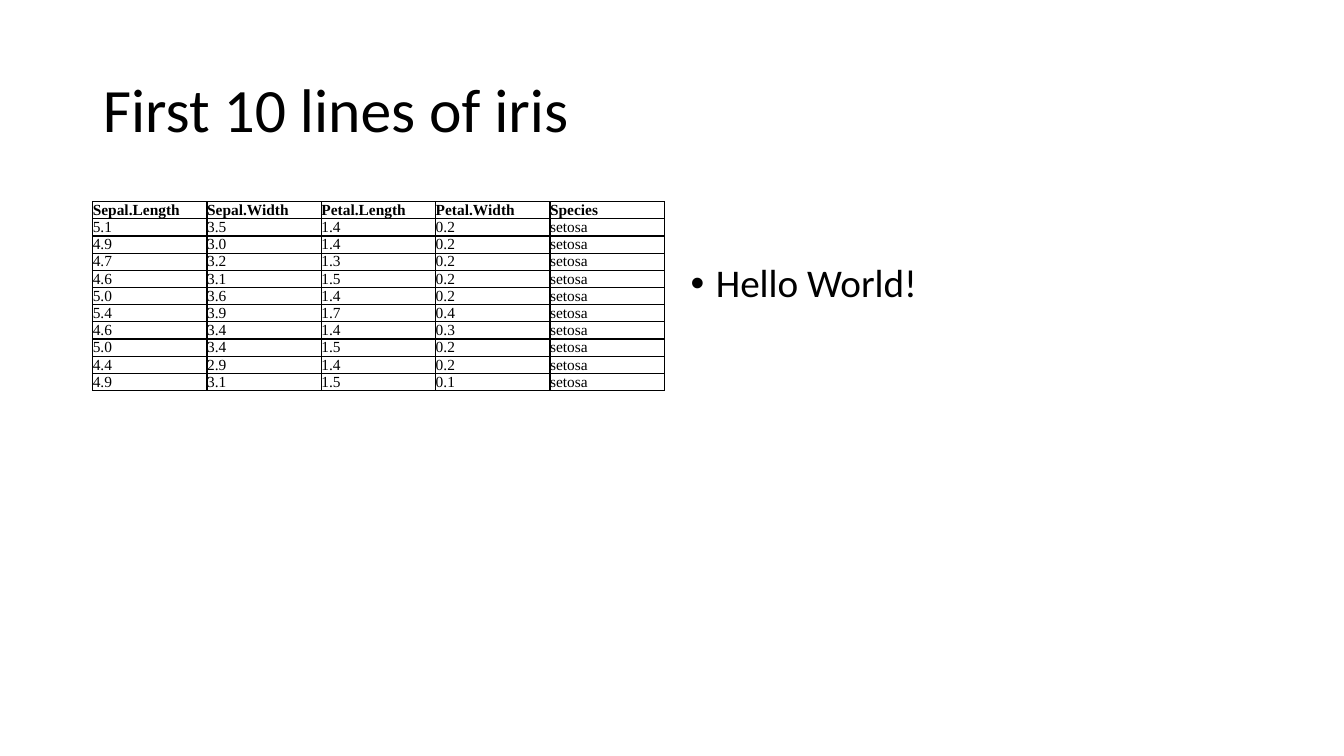
from dataclasses import dataclass
from typing import NamedTuple

from lxml.etree import SubElement
from pptx import Presentation
from pptx.dml.color import RGBColor
from pptx.enum.text import MSO_ANCHOR, PP_ALIGN
from pptx.oxml.ns import qn
from pptx.util import Inches, Pt


@dataclass(frozen=True)
class Theme:
    ink: str = "000000"
    font: str = "Calibri"
    serif: str = "Times New Roman"
    title: int = 44
    body: int = 28
    cell: int = 11
    rule: int = 1


class Box(NamedTuple):
    left: float
    top: float
    width: float
    height: float

    def lengths(self) -> list:
        return [Inches(side) for side in self]


class Flower(NamedTuple):
    sepal_length: str
    sepal_width: str
    petal_length: str
    petal_width: str
    species: str = "setosa"


THEME = Theme()
TITLE = Box(0.92, 0.39, 11.5, 1.45)
TABLE = Box(0.92, 2, 5.67, 1.87)
BODY = Box(6.75, 2, 5.67, 4.76)
HEADER = Flower("Sepal.Length", "Sepal.Width", "Petal.Length", "Petal.Width", "Species")
IRIS = [
    Flower("5.1", "3.5", "1.4", "0.2"),
    Flower("4.9", "3.0", "1.4", "0.2"),
    Flower("4.7", "3.2", "1.3", "0.2"),
    Flower("4.6", "3.1", "1.5", "0.2"),
    Flower("5.0", "3.6", "1.4", "0.2"),
    Flower("5.4", "3.9", "1.7", "0.4"),
    Flower("4.6", "3.4", "1.4", "0.3"),
    Flower("5.0", "3.4", "1.5", "0.2"),
    Flower("4.4", "2.9", "1.4", "0.2"),
    Flower("4.9", "3.1", "1.5", "0.1"),
]


def write(frame, text: str, *, size: int, font: str = THEME.font,
          bold: bool = False, spacing: float = 1.0):
    para = frame.paragraphs[0]
    para.alignment = PP_ALIGN.LEFT
    para.line_spacing = spacing
    para.space_before = Pt(0)
    run = para.add_run()
    run.text = text
    run.font.size = Pt(size)
    run.font.name = font
    run.font.bold = bold
    run.font.color.rgb = RGBColor.from_string(THEME.ink)
    return para


def place(shape, box: Box) -> None:
    shape.left, shape.top, shape.width, shape.height = box.lengths()


def border(cell) -> None:
    props = cell._tc.get_or_add_tcPr()
    for side in ("a:lnL", "a:lnR", "a:lnT", "a:lnB"):
        line = SubElement(props, qn(side), w=str(Pt(THEME.rule)))
        fill = SubElement(line, qn("a:solidFill"))
        SubElement(fill, qn("a:srgbClr"), val=THEME.ink)


def draw_title(slide, text: str) -> None:
    title = slide.shapes.title
    place(title, TITLE)
    title.text_frame.vertical_anchor = MSO_ANCHOR.MIDDLE
    write(title.text_frame, text, size=THEME.title, spacing=0.9)


def draw_cell(cell, text: str, bold: bool) -> None:
    cell.margin_left = cell.margin_right = Inches(0)
    cell.margin_top = cell.margin_bottom = Inches(0)
    cell.vertical_anchor = MSO_ANCHOR.MIDDLE
    border(cell)
    cell.fill.background()
    write(cell.text_frame, text, size=THEME.cell, font=THEME.serif, bold=bold)


def draw_table(slide, rows: list[Flower]) -> None:
    table = slide.shapes.add_table(len(rows), len(HEADER), *TABLE.lengths()).table
    table.first_row = table.horz_banding = False
    for row, flower in enumerate(rows):
        for column, value in enumerate(flower):
            draw_cell(table.cell(row, column), value, bold=row == 0)


def draw_body(slide, text: str) -> None:
    body = slide.placeholders[1]
    place(body, BODY)
    body.text_frame.margin_top = Inches(0.62)
    para = write(body.text_frame, text, size=THEME.body, spacing=0.9)
    props = para._p.get_or_add_pPr()
    props.set("marL", str(Inches(0.25)))
    props.set("indent", str(Inches(-0.25)))
    SubElement(props, qn("a:buFont"), typeface="Arial")
    SubElement(props, qn("a:buChar"), char="•")


def main() -> None:
    deck = Presentation()
    deck.slide_width, deck.slide_height = Inches(13.33), Inches(7.5)
    slide = deck.slides.add_slide(deck.slide_layouts[1])
    draw_title(slide, "First 10 lines of iris")
    draw_table(slide, [HEADER, *IRIS])
    draw_body(slide, "Hello World!")
    deck.save("out.pptx")


main()
